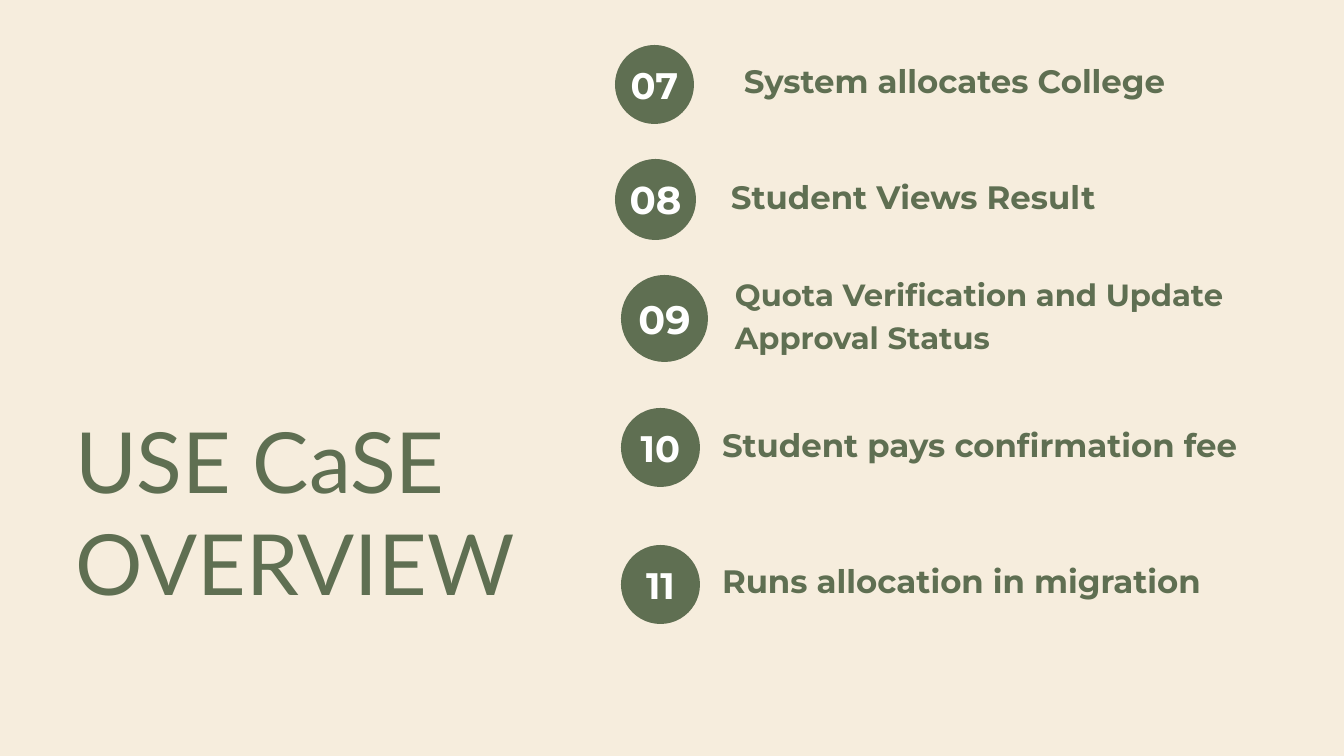
from pptx import Presentation
from pptx.dml.color import RGBColor
from pptx.enum.shapes import MSO_SHAPE
from pptx.enum.text import MSO_ANCHOR, PP_ALIGN
from pptx.util import Emu, Pt

CREAM = RGBColor(0xF6, 0xED, 0xDD)
GREEN = RGBColor(0x5F, 0x6F, 0x52)
WHITE = RGBColor(0xFF, 0xFF, 0xFF)
SCALE = 914400 / 67.2  # EMU in one px


def px(*sizes):
    return [Emu(round(size * SCALE)) for size in sizes]


class Deck:
    head = {"name": "Lato", "bold": False}
    body = {"name": "Montserrat", "bold": True}

    def __init__(self, width, height):
        self.deck = Presentation()
        self.deck.slide_width, self.deck.slide_height = px(width, height)
        self.slide = self.deck.slides.add_slide(self.deck.slide_layouts[5])
        fill = self.slide.background.fill
        fill.solid()
        fill.fore_color.rgb = CREAM

    def set_text(self, shape, text, style, size, color, lead=None,
                 align=PP_ALIGN.LEFT, anchor=MSO_ANCHOR.TOP):
        frame = shape.text_frame
        form = {"word_wrap": True, "vertical_anchor": anchor, "margin_left": 0,
                "margin_right": 0, "margin_top": 0, "margin_bottom": 0}
        for key, value in form.items():
            setattr(frame, key, value)
        frame.text = text
        for para in frame.paragraphs:
            para.alignment = align
            para.space_before = Pt(0)
            if lead:
                para.line_spacing = Pt(lead)
            for key, value in {**style, "size": Pt(size)}.items():
                setattr(para.font, key, value)
            para.font.color.rgb = color

    def title(self, text, x, y, width, height):
        shape = self.slide.shapes.title
        shape.left, shape.top, shape.width, shape.height = px(x, y, width, height)
        self.set_text(shape, text, self.head, 90.3, GREEN, lead=109.3)

    def badge(self, text, x, y, side, size):
        shape = self.slide.shapes.add_shape(MSO_SHAPE.OVAL, *px(x, y, side, side))
        shape.shadow.inherit = False
        shape.fill.solid()
        shape.fill.fore_color.rgb = GREEN
        shape.line.fill.background()
        self.set_text(shape, text, self.body, size, WHITE,
                      align=PP_ALIGN.CENTER, anchor=MSO_ANCHOR.MIDDLE)

    def label(self, text, x, y, width, height, size):
        shape = self.slide.shapes.add_textbox(*px(x, y, width, height))
        self.set_text(shape, text, self.body, size, GREEN, lead=round(size * 1.4, 1))


def main():
    show = Deck(1344, 756)
    show.title("USE CaSE\nOVERVIEW", 75, 408, 489, 203)

    # Steps: badge x, y, side, text size; label x, y, width, text size
    steps = [
        ("System allocates College", 615, 45, 79, 39.5, 744, 55, 600, 34.7),
        ("Student Views Result", 615, 159, 81, 41.5, 731, 171, 521, 34.7),
        ("Quota Verification and Update\nApproval Status",
         621, 275, 87, 42.5, 735, 270, 549, 32.8),
        ("Student pays confirmation fee", 621, 408, 79, 39.5, 722, 419, 521, 34.7),
        ("Runs allocation in migration", 621, 545, 79, 39.5, 722, 555, 521, 34.7),
    ]
    for number, (text, bx, by, side, bsize, x, y, width, size) in enumerate(steps, 7):
        show.badge(f"{number:02}", bx, by, side, bsize)
        show.label(text, x, y, width, 133, size)

    show.deck.save("out.pptx")


if __name__ == "__main__":
    main()
